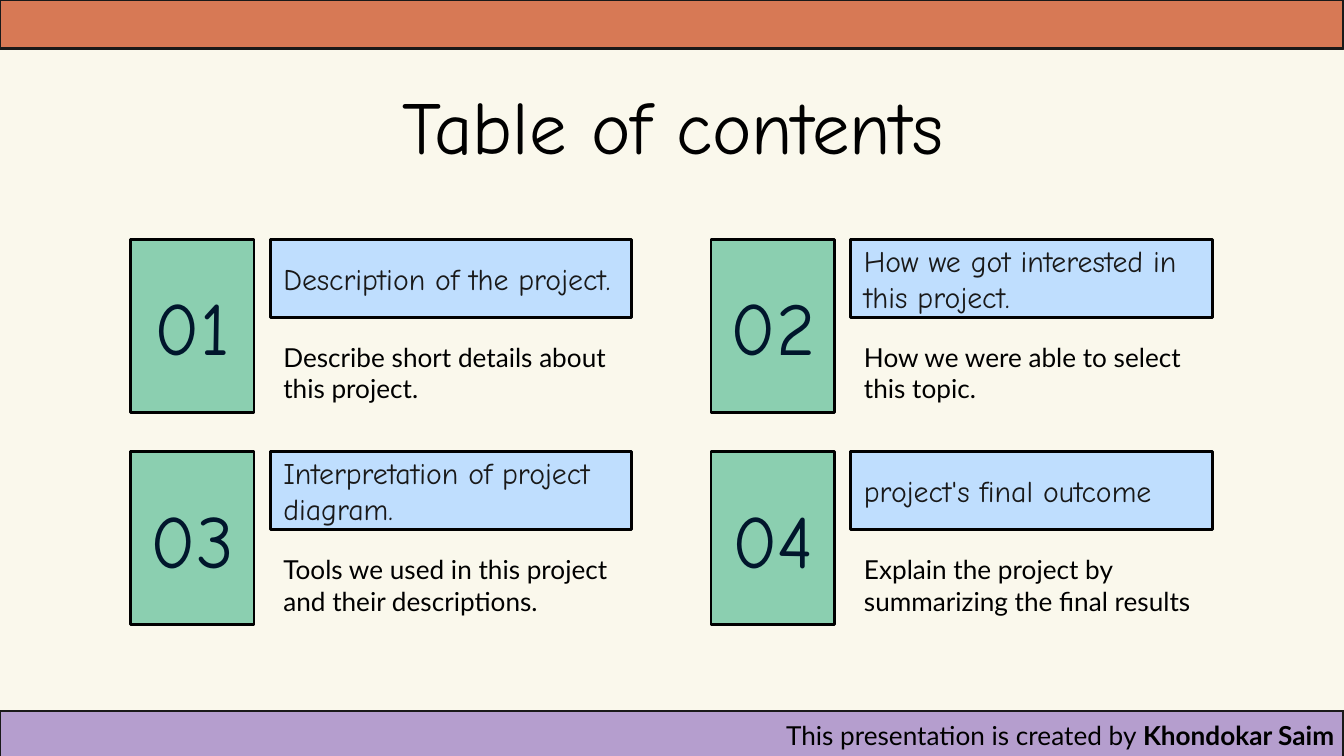
from pptx import Presentation
from pptx.dml.color import RGBColor
from pptx.enum.shapes import MSO_SHAPE
from pptx.enum.text import MSO_ANCHOR, MSO_AUTO_SIZE, PP_ALIGN
from pptx.util import Inches, Pt

RECTANGLE = MSO_SHAPE.RECTANGLE
TOP, MIDDLE = MSO_ANCHOR.TOP, MSO_ANCHOR.MIDDLE
LEFT, CENTER = PP_ALIGN.LEFT, PP_ALIGN.CENTER
NO_AUTOFIT = MSO_AUTO_SIZE.NONE

WIDTH = 10
HEIGHT = WIDTH * 9 / 16
BAR_HEIGHT = 0.36
GRID_LEFT, GRID_TOP = 0.97, 1.78
COLUMN_STEP, ROW_STEP = 4.32, 1.58
NUMBER_WIDTH, CARD_HEIGHT = 0.92, 1.29
TEXT_OFFSET, TEXT_WIDTH = 1.04, 2.69
HEADING_HEIGHT, DETAIL_HEIGHT = 0.58, 0.63
DISPLAY_FONT, BODY_FONT = "Comic Neue", "Lato"

COLORS = {
    "background": "FAF8EC",
    "orange": "D77955",
    "purple": "B59ECE",
    "blue": "BFDEFE",
    "green": "8BCFB0",
    "black": "000000",
    "charcoal": "191919",
    "navy": "01162C",
}

SECTIONS = [
    ("Description of the project.", "Describe short details about this project."),
    ("How we got interested in this project.", "How we were able to select this topic."),
    ("Interpretation of project diagram.", "Tools we used in this project and their descriptions."),
    ("project's final outcome", "Explain the project by summarizing the final results"),
]


def color(name):
    """Return the named colour."""
    return RGBColor.from_string(COLORS[name])


def write(box, *texts, size=14, font=BODY_FONT, ink="black", align=LEFT,
          anchor=TOP, wrap=True, bold_last=False):
    """Fill a box with one paragraph made of the given spans."""
    frame = box.text_frame
    frame.auto_size = NO_AUTOFIT
    frame.word_wrap = wrap
    frame.vertical_anchor = anchor
    frame.margin_left = frame.margin_right = Inches(0.1)
    frame.margin_top = frame.margin_bottom = Inches(0.1)
    para = frame.paragraphs[0]
    para.alignment = align
    for text in texts:
        span = para.add_run()
        span.text = text
        span.font.size = Pt(size)
        span.font.name = font
        span.font.color.rgb = color(ink)
        span.font.bold = bold_last and text == texts[-1]


def add_box(page, left, top, width, height, fill, outline="black"):
    """Add a filled, outlined rectangle."""
    box = page.shapes.add_shape(
        RECTANGLE, Inches(left), Inches(top), Inches(width), Inches(height))
    box.shadow.inherit = False
    box.fill.solid()
    box.fill.fore_color.rgb = color(fill)
    box.line.color.rgb = color(outline)
    box.line.width = Pt(1.5)
    return box


def add_text(page, left, top, width, height, *texts, **style):
    """Add a plain text box."""
    box = page.shapes.add_textbox(
        Inches(left), Inches(top), Inches(width), Inches(height))
    write(box, *texts, **style)


def add_title(page, text):
    """Place and fill the title placeholder."""
    title = page.shapes.title
    title.left, title.top = Inches(0.79), Inches(0.61)
    title.width, title.height = Inches(8.43), Inches(0.63)
    write(title, text, size=40, font=DISPLAY_FONT, align=CENTER, anchor=MIDDLE)


def add_section(page, index, heading, detail):
    """Add one numbered section at its cell of the two-column grid."""
    row, column = divmod(index, 2)
    left = GRID_LEFT + column * COLUMN_STEP
    top = GRID_TOP + row * ROW_STEP
    text_left = left + TEXT_OFFSET
    number_box = add_box(page, left, top, NUMBER_WIDTH, CARD_HEIGHT, "green")
    write(number_box, f"{index + 1:02d}", size=40, font=DISPLAY_FONT,
          ink="navy", align=CENTER, anchor=MIDDLE)
    heading_box = add_box(page, text_left, top, TEXT_WIDTH, HEADING_HEIGHT, "blue")
    write(heading_box, heading, size=16, font=DISPLAY_FONT, ink="charcoal",
          anchor=MIDDLE)
    add_text(page, text_left, top + CARD_HEIGHT - DETAIL_HEIGHT,
             TEXT_WIDTH, DETAIL_HEIGHT, detail)


def main():
    """Build the table of contents slide."""
    deck = Presentation()
    deck.slide_width, deck.slide_height = Inches(WIDTH), Inches(HEIGHT)
    page = deck.slides.add_slide(deck.slide_layouts.get_by_name("Title Only"))
    page.background.fill.solid()
    page.background.fill.fore_color.rgb = color("background")
    for top, fill in ((0, "orange"), (5.29, "purple")):
        add_box(page, 0, top, WIDTH, BAR_HEIGHT, fill, outline="charcoal")
    add_title(page, "Table of contents")
    for index, (heading, detail) in enumerate(SECTIONS):
        add_section(page, index, heading, detail)
    add_text(page, 5.75, 5.25, 4.25, 0.38, "This presentation is created by ",
             "Khondokar Saim", wrap=False, bold_last=True)
    deck.save("out.pptx")


if __name__ == "__main__":
    main()
